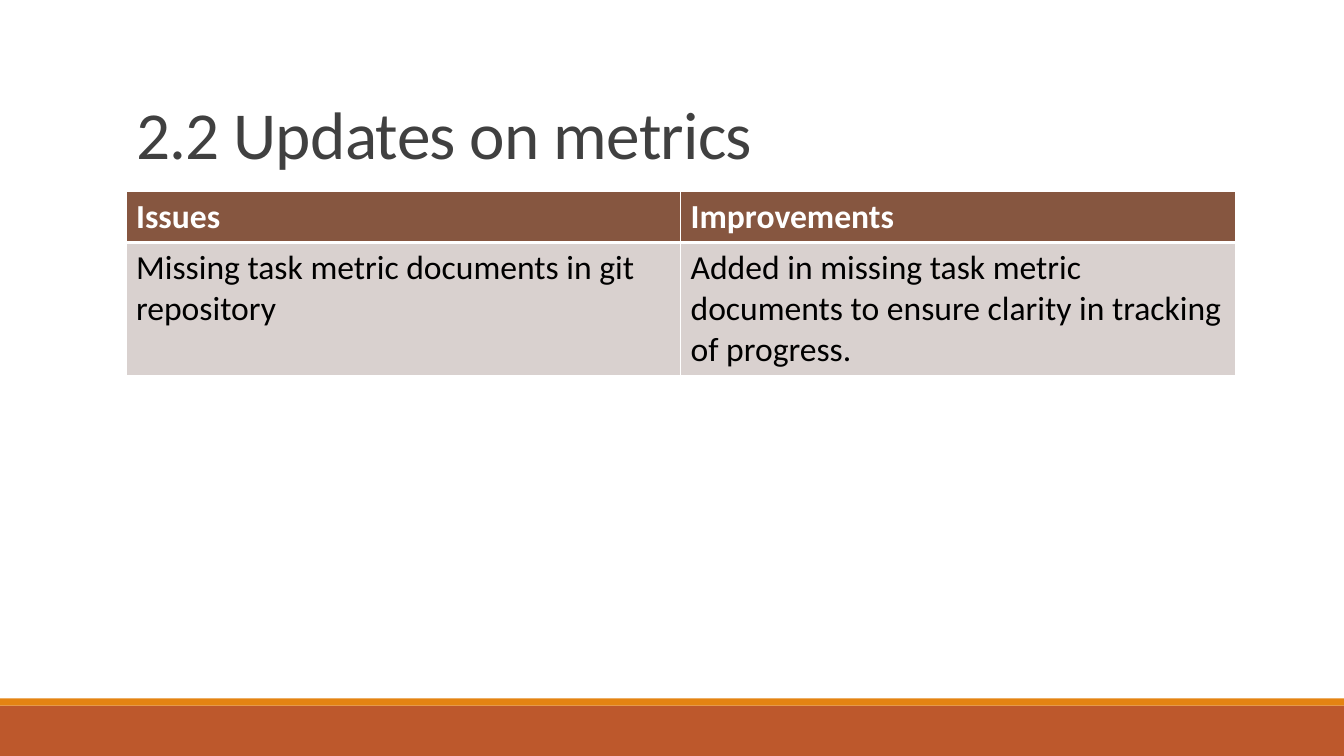
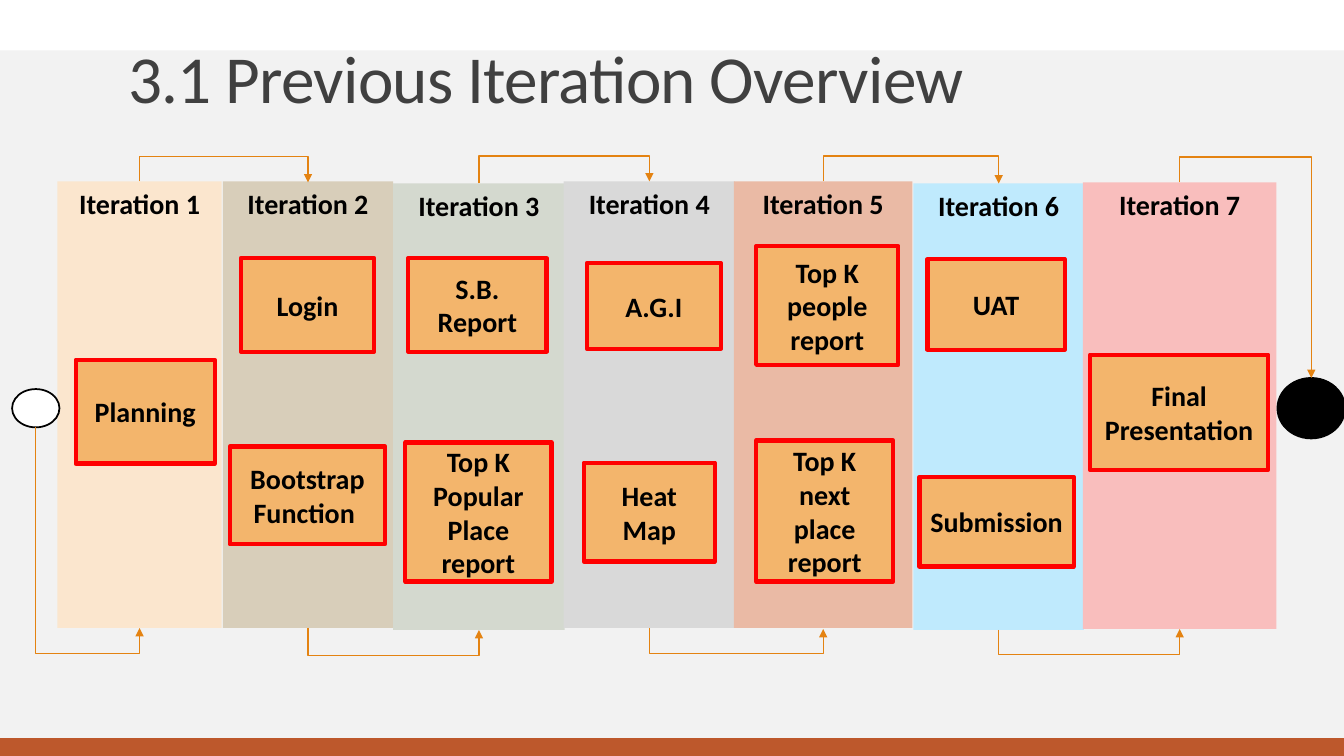
import pptx
import pptx.dml.color
import pptx.enum.shapes
import pptx.enum.text
import pptx.oxml.ns
import pptx.util
from lxml import etree
from pptx.util import Inches

FONT = "Calibri"
TITLE_COLOUR = "404040"
BLACK = "000000"
WHITE = "FFFFFF"
RUST = "BD582C"
ORANGE = "E48312"
PANEL_GREY = "F2F2F2"
TABLE_HEADER = "865640"
TABLE_BODY = "D9D1CF"
TASK_FILL = "F3B56C"
TASK_LINE = "FF0000"

RECTANGLE = pptx.enum.shapes.MSO_SHAPE.RECTANGLE
OVAL = pptx.enum.shapes.MSO_SHAPE.OVAL
ANCHOR = pptx.enum.text.MSO_ANCHOR
ALIGN = pptx.enum.text.PP_ALIGN

BAND_HEIGHT = 4.43
RECTANGLE_SITES = {"top": 0, "bottom": 2}
OVAL_SITES = {"top": 0, "bottom": 4}

TABLE_ROWS = [
    ("Issues", "Improvements"),
    ("Missing task metric documents in git repository",
     "Added in missing task metric documents to ensure clarity in tracking of progress."),
]

# Left, top, width and fill of each band, then its tasks with their boxes
ITERATIONS = [
    (0.57, 1.8, 1.63, "FBE6CE", [("Planning", (0.75, 3.57, 1.38, 1.03))]),
    (2.21, 1.8, 1.69, "D8CEBA", [("Login", (2.39, 2.56, 1.32, 0.93)),
                                 ("Bootstrap Function ", (2.28, 4.43, 1.54, 0.97))]),
    (3.9, 1.82, 1.7, "D4D9CF", [("S.B. Report", (4.05, 2.56, 1.37, 0.93)),
                                ("Top K Popular Place report", (4.02, 4.39, 1.45, 1.38))]),
    (5.59, 1.8, 1.7, "D9D9D9", [("A.G.I", (5.82, 2.61, 1.33, 0.85)),
                                ("Heat Map", (5.79, 4.59, 1.3, 0.98))]),
    (7.28, 1.8, 1.77, "EABAA5", [("Top K people report", (7.5, 2.44, 1.41, 1.18)),
                                 ("Top K next place report", (7.5, 4.37, 1.36, 1.4))]),
    (9.06, 1.82, 1.69, "BFEAFD", [("UAT", (9.2, 2.57, 1.36, 0.9)),
                                  ("Submission", (9.12, 4.73, 1.53, 0.89))]),
    (10.74, 1.81, 1.92, "F9BEBD", [("Final Presentation", (10.81, 3.52, 1.77, 1.14))]),
]


def colour(value):
    return pptx.dml.color.RGBColor.from_string(value)


def set_font(paragraph, size, value, bold=False):
    paragraph.font.name = FONT
    paragraph.font.size = pptx.util.Pt(size)
    paragraph.font.color.rgb = colour(value)
    paragraph.font.bold = bold


def add_box(slide, kind, box, fill, line=None, line_width=1.25):
    shape = slide.shapes.add_shape(kind, *map(Inches, box))
    shape.shadow.inherit = False
    shape.fill.solid()
    shape.fill.fore_color.rgb = colour(fill)
    if line:
        shape.line.color.rgb = colour(line)
        shape.line.width = pptx.util.Pt(line_width)
    else:
        shape.line.fill.background()
    return shape


def add_label(shape, text, anchor):
    frame = shape.text_frame
    frame.word_wrap = True
    frame.vertical_anchor = anchor
    paragraph = frame.paragraphs[0]
    paragraph.text = text
    paragraph.alignment = ALIGN.CENTER
    set_font(paragraph, 20, BLACK, bold=True)


def add_slide(presentation):
    """Add a title-only slide with the two bands along its foot."""
    slide = presentation.slides.add_slide(presentation.slide_layouts[5])
    add_box(slide, RECTANGLE, (0, 7, 13.33, 0.5), RUST)
    add_box(slide, RECTANGLE, (0, 6.93, 13.33, 0.07), ORANGE)
    return slide


def set_title(slide, text, left, top, anchor):
    """Write the title and bring it in front of everything drawn so far."""
    title = slide.shapes.title
    title.left, title.top, title.width, title.height = map(Inches, (left, top, 11, 1.59))
    frame = title.text_frame
    frame.word_wrap = True
    frame.auto_size = pptx.enum.text.MSO_AUTO_SIZE.NONE
    frame.vertical_anchor = anchor
    paragraph = frame.paragraphs[0]
    paragraph.text = text
    paragraph.alignment = ALIGN.LEFT
    paragraph.line_spacing = 0.85
    set_font(paragraph, 48, TITLE_COLOUR)
    paragraph.runs[0].font._element.set("spc", "-50")
    slide.shapes._spTree.append(title._element)


def set_borders(cell, widths):
    """Draw white borders; widths gives points for left, right, top and bottom."""
    properties = cell._tc.get_or_add_tcPr()
    for side, width in zip("LRTB", widths):
        properties.append(pptx.oxml.parse_xml(
            f'<a:ln{side} {pptx.oxml.ns.nsdecls("a")} w="{pptx.util.Pt(width)}">'
            f'<a:solidFill><a:srgbClr val="{WHITE}"/></a:solidFill></a:ln{side}>'))


def add_metrics_table(slide):
    frame = slide.shapes.add_table(2, 2, *map(Inches, (1.25, 1.9, 11, 1.8)))
    table = frame.table
    styles = [
        (0.5, TABLE_HEADER, WHITE, True, (1, 1, 1, 3)),
        (1.3, TABLE_BODY, BLACK, False, (1, 1, 3, 1)),
    ]
    for row, (texts, style) in enumerate(zip(TABLE_ROWS, styles)):
        height, fill, text_colour, bold, borders = style
        table.rows[row].height = Inches(height)
        for column, text in enumerate(texts):
            cell = table.cell(row, column)
            set_borders(cell, borders)
            cell.fill.solid()
            cell.fill.fore_color.rgb = colour(fill)
            paragraph = cell.text_frame.paragraphs[0]
            paragraph.text = text
            set_font(paragraph, 24, text_colour, bold)


def side_point(shape, side):
    y = shape.top if side == "top" else shape.top + shape.height
    return shape.left + shape.width // 2, y


def site_index(shape, side):
    return (OVAL_SITES if shape.auto_shape_type == OVAL else RECTANGLE_SITES)[side]


def add_loop_arrow(slide, start, end, side):
    """Join the same side of two shapes by an arrow that bends round outside them."""
    x1, y1 = side_point(start, side)
    x2, y2 = side_point(end, side)
    if y1 == y2:
        y2 += Inches(0.01)
    bend = min(y1, y2) - Inches(0.25) if side == "top" else max(y1, y2) + Inches(0.25)
    connector = slide.shapes.add_connector(
        pptx.enum.shapes.MSO_CONNECTOR.ELBOW, x1, y1, x2, y2)
    connector.begin_connect(start, 0)
    connector.end_connect(end, 0)
    ends = connector._element.nvCxnSpPr.cNvCxnSpPr
    ends.stCxn.idx = site_index(start, side)
    ends.endCxn.idx = site_index(end, side)

    # A quarter turn makes the first and last legs vertical
    width, height = abs(y2 - y1), abs(x2 - x1)
    connector.left = (x1 + x2 - width) // 2
    connector.top = (y1 + y2 - height) // 2
    connector.width, connector.height = width, height
    properties = connector._element.spPr
    transform = properties.find(pptx.oxml.ns.qn("a:xfrm"))
    downward = y2 > y1
    transform.set("rot", str((270 if downward else 90) * 60000))
    transform.set("flipH", "1")
    transform.set("flipV", "0" if downward else "1")
    geometry = properties.find(pptx.oxml.ns.qn("a:prstGeom"))
    adjustments = geometry.find(pptx.oxml.ns.qn("a:avLst"))
    adjustment = round((bend - y1) / (y2 - y1) * 100000)
    etree.SubElement(adjustments, pptx.oxml.ns.qn("a:gd"),
                     name="adj1", fmla=f"val {adjustment}")

    connector.line.color.rgb = colour(ORANGE)
    connector.line.width = pptx.util.Pt(1)
    line = properties.find(pptx.oxml.ns.qn("a:ln"))
    etree.SubElement(line, pptx.oxml.ns.qn("a:tailEnd"), type="triangle")
    etree.SubElement(properties, pptx.oxml.ns.qn("a:effectLst"))


def add_iterations(slide):
    bands = []
    for number, (left, top, width, fill, _) in enumerate(ITERATIONS, 1):
        band = add_box(slide, RECTANGLE, (left, top, width, BAND_HEIGHT), fill)
        add_label(band, f"Iteration {number}", ANCHOR.TOP)
        bands.append(band)
    for *_, tasks in ITERATIONS:
        for text, box in tasks:
            task = add_box(slide, RECTANGLE, box, TASK_FILL, TASK_LINE, 3)
            add_label(task, text, ANCHOR.MIDDLE)
    start = add_box(slide, OVAL, (0.12, 3.86, 0.47, 0.38), WHITE, BLACK)
    finish = add_box(slide, OVAL, (12.67, 3.75, 0.67, 0.6), BLACK, BLACK)
    steps = [start, *bands, finish]
    for index, (first, second) in enumerate(zip(steps, steps[1:])):
        add_loop_arrow(slide, first, second, "top" if index % 2 else "bottom")


def main():
    presentation = pptx.Presentation()
    presentation.slide_width = Inches(13.33)
    presentation.slide_height = Inches(7.5)

    metrics = add_slide(presentation)
    set_title(metrics, "2.2 Updates on metrics", 1.25, 0.18, ANCHOR.BOTTOM)
    add_metrics_table(metrics)

    overview = add_slide(presentation)
    add_box(overview, RECTANGLE, (0, 0.5, 13.33, 6.82), PANEL_GREY)
    add_iterations(overview)
    set_title(overview, "3.1 Previous Iteration Overview", 1.17, 0.43, ANCHOR.TOP)

    presentation.save("out.pptx")


if __name__ == "__main__":
    main()
